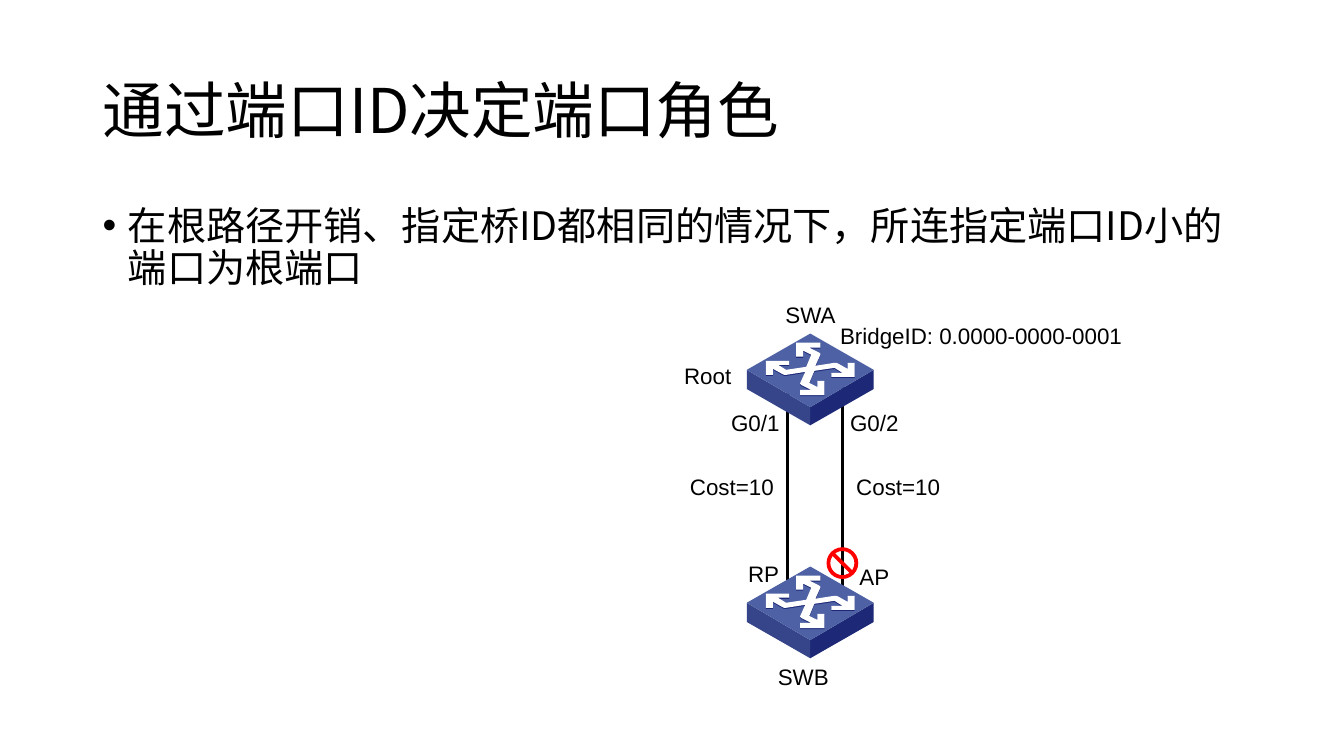
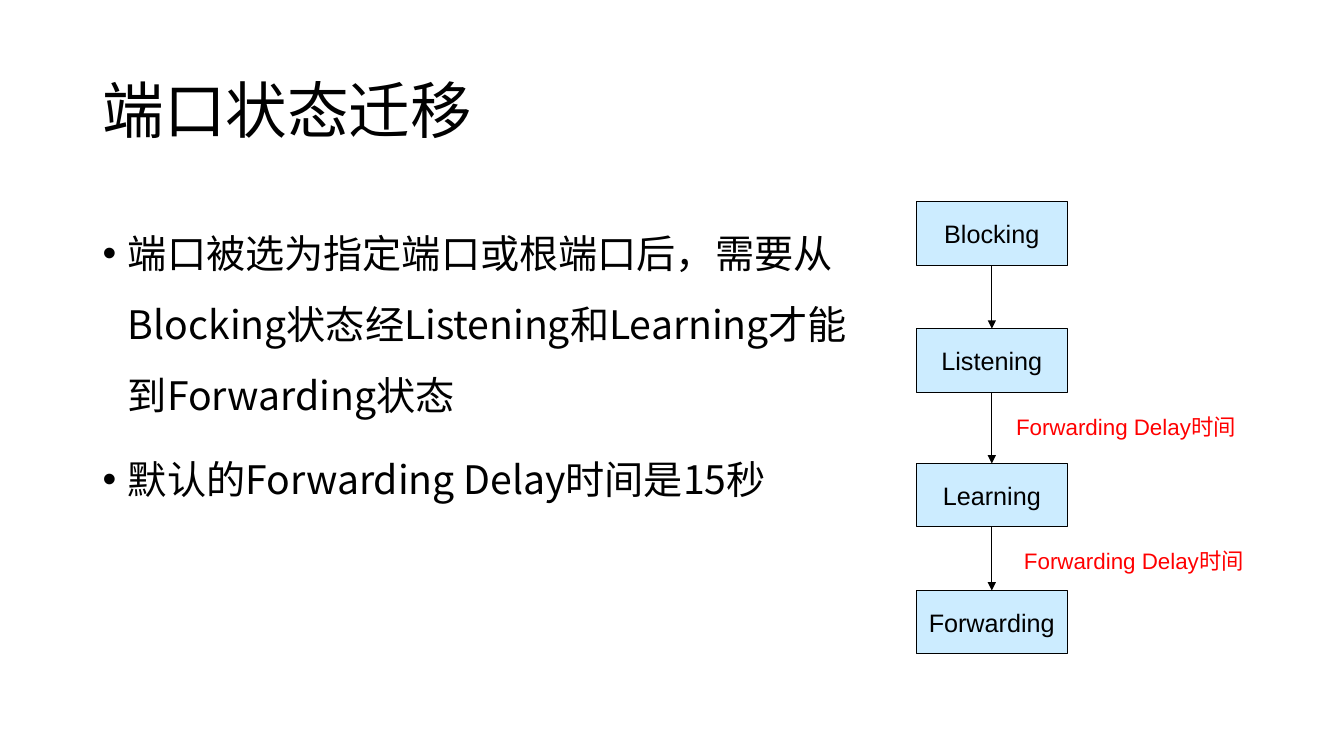
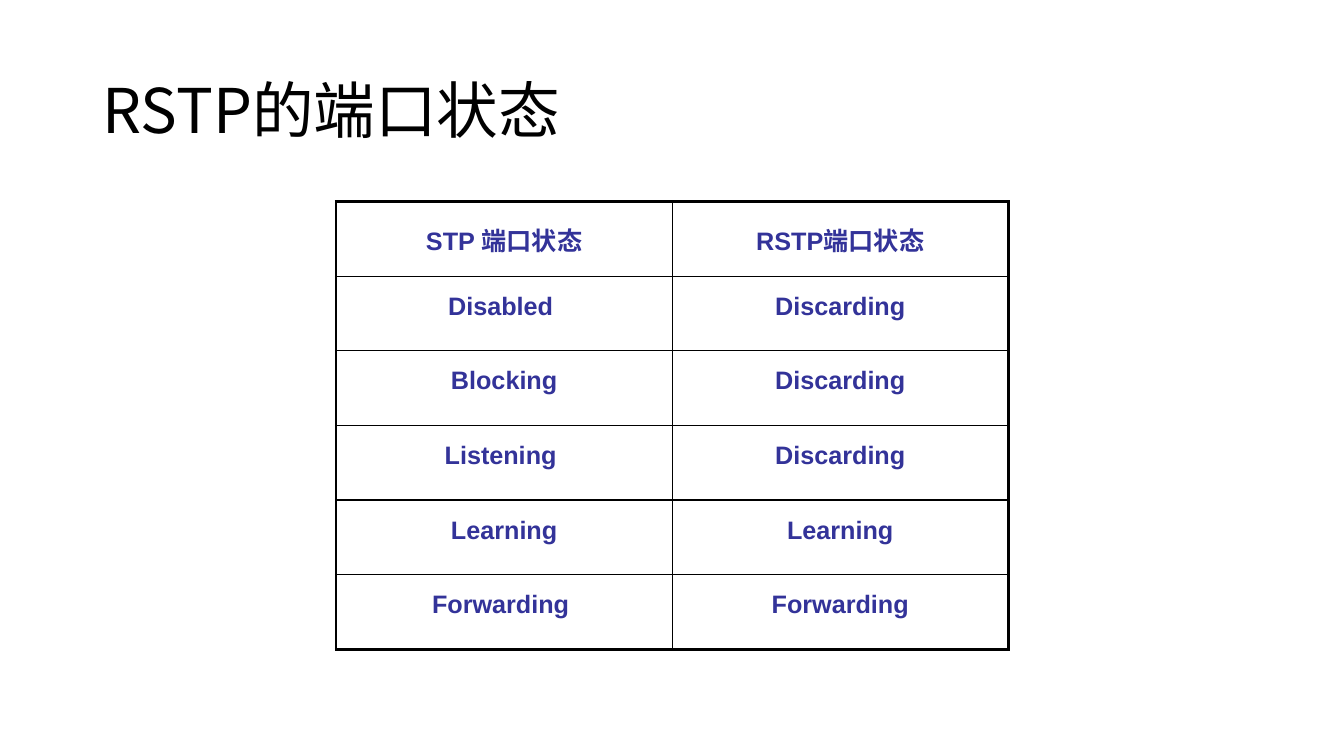
from typing import NamedTuple

from lxml import etree
from pptx import Presentation
from pptx import util as u
from pptx.dml.color import RGBColor
from pptx.enum import shapes as sh, text as tx
from pptx.oxml.ns import qn

INK = {
    "black": "000000",
    "white": "FFFFFF",
    "red": "FF0000",
    "sky": "CCECFF",
    "blue": "333399",
    "top": "4D61A4",
    "left": "36458A",
    "right": "1D2977",
}
SANS, HAN = "Arial", "Noto Sans CJK SC"
LEFT, WIDE = 2.33, 29.21
THIN, THICK = 1, 2.25

# Switch icon, measured from the middle of its top face
UNIT = u.Cm(3.2) / 126
TOP = [(63, 0), (0, 37), (-63, 0), (0, -36)]
RIGHT = [(63, 0), (63, 19), (0, 55), (0, 37)]
SIDE = [(-x, y) for x, y in RIGHT]
HALF = [
    (44, -7), (37, -7), (37, -1), (28, -6), (26, -7), (24, -7), (5, -4),
    (10, -15), (10, -16), (9, -17), (-1, -22), (10, -22), (10, -27),
    (-14, -27), (-14, -13), (-7, -13), (-7, -19), (1, -15), (-4, -3),
    (-24, 0), (-32, -5), (-21, -5), (-21, -9), (-44, -9),
]
CROSS = HALF + [(-x, -2 - y) for x, y in HALF]
SHADE = [(x, y + 1) for x, y in CROSS]
FACES = [(RIGHT, "right"), (SIDE, "left"), (TOP, "top"), (SHADE, "right"), (CROSS, "white")]


class Label(NamedTuple):
    text: str
    left: float
    top: float
    width: float = 3.61
    ink: str = "black"


class State(NamedTuple):
    name: str
    top: float


PORTS = [
    Label("SWA", 18.62, 7.47),
    Label("SWB", 18.44, 16.59),
    Label("Root", 16.03, 8.99),
    Label("G0/1", 18.03, 10.19, 2.01),
    Label("G0/2", 21.03, 10.19, 2.01),
    Label("AP", 21.03, 14.07, 2.01),
    Label("Cost=10", 16.64, 11.79),
    Label("Cost=10", 20.83, 11.79),
    Label("RP", 18.24, 14, 2.01),
    Label("BridgeID: 0.0000-0000-0001", 20.42, 8, 8.61),
]
STATES = [
    State("Blocking", 5.08),
    State("Listening", 8.28),
    State("Learning", 11.68),
    State("Forwarding", 14.88),
]
DELAYS = [
    Label("Forwarding Delay时间", 24.87, 10.29, 7.01, "red"),
    Label("Forwarding Delay时间", 25.07, 13.67, 7.01, "red"),
]
ROWS = [
    ("STP 端口状态", "RSTP端口状态"),
    ("Disabled ", "Discarding"),
    ("Blocking", "Discarding"),
    ("Listening ", "Discarding"),
    ("Learning", "Learning"),
    ("Forwarding ", "Forwarding"),
]


def tint(name: str) -> RGBColor:
    return RGBColor.from_string(INK[name])


def write(frame, *lines: str, size: float = 16, font: str = SANS, ink: str = "black",
          bold: bool = False, align=tx.PP_ALIGN.CENTER, gap: float = 0,
          pitch: float = 1, hang: float = 0) -> None:
    """Fill a frame with one paragraph per line; hang is the bullet indent in cm."""
    for i, line in enumerate(lines):
        para = frame.add_paragraph() if i else frame.paragraphs[0]
        para.alignment = align
        para.line_spacing = pitch
        para.space_before = u.Pt(gap)
        if hang:
            props = para._p.get_or_add_pPr()
            props.set("marL", str(u.Cm(hang)))
            props.set("indent", str(-u.Cm(hang)))
        run = para.add_run()
        run.text = line
        run.font.size = u.Pt(size)
        run.font.bold = bold
        run.font.color.rgb = tint(ink)
        run.font.name = font
        etree.SubElement(run._r.get_or_add_rPr(), qn("a:ea"), typeface=HAN)


def place(shape, left: float, top: float, width: float, height: float) -> None:
    shape.left, shape.top = u.Cm(left), u.Cm(top)
    shape.width, shape.height = u.Cm(width), u.Cm(height)


def start(deck, title: str, *points: str, width: float = WIDE, pitch: float = 0.9):
    """Add a slide with its title and, if there are points, a bullet list."""
    slide = deck.slides.add_slide(deck.slide_layouts[1 if points else 5])
    head = slide.shapes.title
    place(head, LEFT, 1.01, WIDE, 3.68)
    head.text_frame.vertical_anchor = tx.MSO_ANCHOR.MIDDLE
    head.text_frame.auto_size = tx.MSO_AUTO_SIZE.NONE
    write(head.text_frame, title, size=44, font=HAN, align=tx.PP_ALIGN.LEFT, pitch=0.9)
    if points:
        body = slide.placeholders[1]
        place(body, LEFT, 5.07, width, 12.09)
        body.text_frame.auto_size = tx.MSO_AUTO_SIZE.NONE
        write(body.text_frame, *points, size=28, font=HAN, align=tx.PP_ALIGN.LEFT,
              gap=10, pitch=pitch, hang=0.64)
    return slide


def paint(shape, fill: str, edge: str = "") -> None:
    shape.shadow.inherit = False
    shape.fill.solid()
    shape.fill.fore_color.rgb = tint(fill)
    if edge:
        shape.line.color.rgb = tint(edge)
        shape.line.width = u.Pt(0.75)
    else:
        shape.line.fill.background()


def note(slide, label: Label) -> None:
    box = slide.shapes.add_textbox(0, 0, 0, 0)
    place(box, label.left, label.top, label.width, 0.94)
    box.text_frame.word_wrap = True
    box.text_frame.auto_size = tx.MSO_AUTO_SIZE.SHAPE_TO_FIT_TEXT
    write(box.text_frame, label.text, ink=label.ink)


def link(slide, x: float = 0, top: float = 0, end: float = 0, weight: float = THICK):
    """Draw a plain vertical line."""
    line = slide.shapes.add_connector(
        sh.MSO_CONNECTOR.STRAIGHT, u.Cm(x), u.Cm(top), u.Cm(x), u.Cm(end))
    line.line.color.rgb = tint("black")
    line.line.width = u.Pt(weight)
    etree.SubElement(line._element.spPr, qn("a:effectLst"))
    return line


def arrow(slide, above, below) -> None:
    line = link(slide, weight=0.75)
    line.begin_connect(above, 2)
    line.end_connect(below, 0)
    etree.SubElement(line._element.spPr.find(qn("a:ln")), qn("a:tailEnd"), type="triangle")


def switch(slide, x: float, y: float) -> None:
    group = slide.shapes.add_group_shape()
    for points, fill in FACES:
        pen = group.shapes.build_freeform(*points[0], scale=UNIT)
        pen.add_line_segments(points[1:], close=True)
        paint(pen.convert_to_shape(u.Cm(x), u.Cm(y)), fill)


def stage(slide, state: State):
    """Draw one box of the state chart."""
    box = slide.shapes.add_shape(sh.MSO_SHAPE.FLOWCHART_PROCESS, 0, 0, 0, 0)
    place(box, 23.09, state.top, 3.81, 1.6)
    paint(box, "sky", "black")
    box.text_frame.word_wrap = False
    box.text_frame.vertical_anchor = tx.MSO_ANCHOR.MIDDLE
    write(box.text_frame, state.name, size=18)
    return box


def edge(cell, left: float, right: float, top: float, base: float) -> None:
    """Set the four border widths of a cell, in points."""
    props = cell._tc.get_or_add_tcPr()
    for i, (side, weight) in enumerate(zip("LRTB", (left, right, top, base))):
        line = etree.Element(qn(f"a:ln{side}"), w=str(u.Pt(weight)))
        fill = etree.SubElement(line, qn("a:solidFill"))
        etree.SubElement(fill, qn("a:srgbClr"), val=INK["black"])
        props.insert(i, line)


def roles(deck) -> None:
    slide = start(deck, "通过端口ID决定端口角色",
                  "在根路径开销、指定桥ID都相同的情况下，所连指定端口ID小的端口为根端口")
    link(slide, 19.84, 9.8, 15.19)
    link(slide, 21.23, 9.6, 14.99)
    for y in (9.32, 15.19):
        switch(slide, 20.42, y)
    block = slide.shapes.add_shape(sh.MSO_SHAPE.NO_SYMBOL, 0, 0, 0, 0)
    place(block, 20.83, 13.79, 0.8, 0.8)
    block.adjustments[0] = 0.12
    paint(block, "red")
    for label in PORTS:
        note(slide, label)


def moves(deck) -> None:
    slide = start(deck, "端口状态迁移",
                  "端口被选为指定端口或根端口后，需要从Blocking状态经Listening和Learning才能到Forwarding状态",
                  "默认的Forwarding Delay时间是15秒", width=19.78, pitch=1.5)
    boxes = [stage(slide, state) for state in STATES]
    for above, below in zip(boxes, boxes[1:]):
        arrow(slide, above, below)
    for label in DELAYS:
        note(slide, label)


def match(deck) -> None:
    slide = start(deck, "RSTP的端口状态")
    rows, cols = len(ROWS), len(ROWS[0])
    wide, high = 8.47, 1.88
    grid = slide.shapes.add_table(rows, cols, u.Cm(8.47), u.Cm(5.08),
                                  u.Cm(wide * cols), u.Cm(high * rows)).table
    grid.first_row = grid.horz_banding = False
    for r, row in enumerate(ROWS):
        grid.rows[r].height = u.Cm(high)
        for c, word in enumerate(row):
            cell = grid.cell(r, c)
            cell.fill.background()
            write(cell.text_frame, word, size=18, ink="blue", bold=True, pitch=1.4)
            edge(cell,
                 THICK if c == 0 else THIN,
                 THICK if c == cols - 1 else THIN,
                 THICK if r == 0 else THIN,
                 THICK if r == rows - 1 else THIN)


def main() -> None:
    deck = Presentation()
    deck.slide_width, deck.slide_height = u.Cm(33.87), u.Cm(19.05)
    for build in (roles, moves, match):
        build(deck)
    deck.save("out.pptx")


if __name__ == "__main__":
    main()
